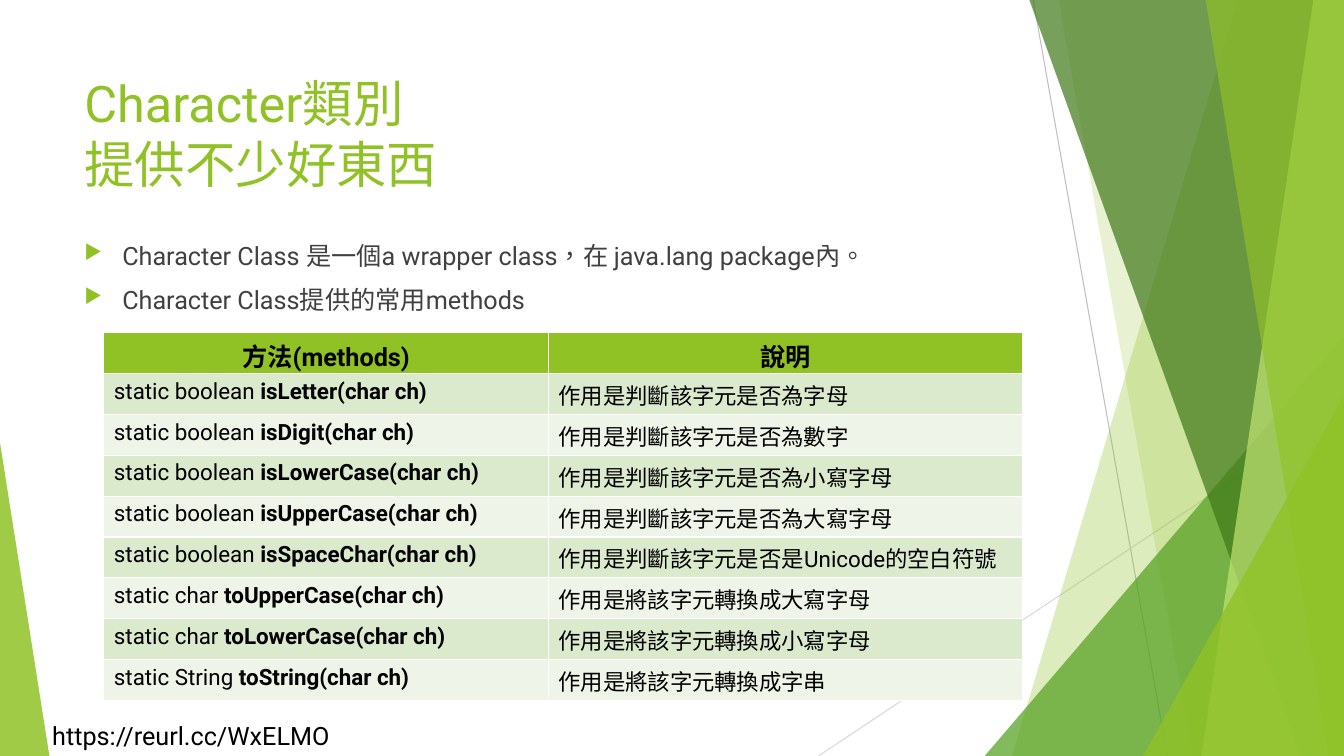
"""Build a slide on the methods offered by the Java Character class."""
from dataclasses import dataclass
from lxml.etree import SubElement
from pptx import Presentation
from pptx.dml.color import RGBColor as RGB
from pptx.enum.lang import MSO_LANGUAGE_ID as LANG
from pptx.enum.shapes import MSO_CONNECTOR as LINE, MSO_SHAPE as SHAPE
from pptx.enum.text import MSO_ANCHOR as ANCHOR, PP_ALIGN as ALIGN
from pptx.oxml.ns import qn
from pptx.util import Pt


@dataclass(frozen=True)
class Theme:
    font: str = "Roboto"
    lime: str = "90C226"
    leaf: str = "54A021"
    forest: str = "3F7819"
    pale: str = "C0E474"
    rule: str = "BFBFBF"
    light_rule: str = "D9D9D9"
    body: str = "404040"
    ink: str = "000000"
    stripes: tuple = ("DBE9CD", "EEF4E8")
    title_size: int = 36
    text_size: int = 18
    cell_size: int = 16


theme = Theme()


def style(paragraph, size, color):
    for run in paragraph.runs:
        run.font.name = theme.font
        run.font.size = Pt(size)
        run.font.color.rgb = RGB.from_string(color)
        run.font.language_id = LANG.TRADITIONAL_CHINESE


def add_text(left, top, width, height, wrap=True):
    frame = slide.shapes.add_textbox(Pt(left), Pt(top), Pt(width), Pt(height)).text_frame
    frame.word_wrap = wrap
    frame.vertical_anchor = ANCHOR.TOP
    return frame


WIDTH, HEIGHT, BLEED = 960, 540, -0.6
deck = Presentation()
deck.slide_width, deck.slide_height = Pt(WIDTH), Pt(HEIGHT)
slide = deck.slides.add_slide(deck.slide_layouts[6])

for x1, y1, x2, y2, color in [
    (738, 0, 833.8, HEIGHT, theme.rule),
    (WIDTH, 290.2, 584.6, HEIGHT, theme.light_rule),
]:
    ray = slide.shapes.add_connector(LINE.STRAIGHT, Pt(x1), Pt(y1), Pt(x2), Pt(y2))
    ray.line.color.rgb = RGB.from_string(color)
    ray.line.width = Pt(0.75)
    SubElement(ray._element.spPr, qn("a:effectLst"))

# Bands give top and bottom x; wedges give left, top, width and apex.
facets = [
    ((884.2, 722.9), theme.lime, 30),
    ((756, 851.8), theme.lime, 20),
    ((703.4, 239.8, 256.6, 1), theme.leaf, 72),
    ((735.1, 929.5), theme.forest, 70),
    ((938.2, 858.2), theme.pale, 70),
    ((861.1, 949), theme.lime, 65),
    ((816.5, 283, 143.5, 1), theme.lime, 80),
    ((0, 316.1, 35.3, 0), theme.lime, 85),
]
for outline, color, opacity in facets:
    if len(outline) == 2:
        top_x, bottom_x = outline
        band = slide.shapes.build_freeform(Pt(top_x), Pt(BLEED))
        corners = [(WIDTH, BLEED), (WIDTH, HEIGHT), (bottom_x, HEIGHT)]
        band.add_line_segments([(Pt(x), Pt(y)) for x, y in corners], close=True)
        facet = band.convert_to_shape()
    else:
        left, top, width, apex = outline
        facet = slide.shapes.add_shape(
            SHAPE.ISOSCELES_TRIANGLE, Pt(left), Pt(top), Pt(width), Pt(HEIGHT - top))
        facet.adjustments[0] = apex
    facet.shadow.inherit = False
    facet.line.fill.background()
    facet.fill.solid()
    facet.fill.fore_color.rgb = RGB.from_string(color)
    tint = facet._element.spPr.find(qn("a:solidFill"))[0]
    SubElement(tint, qn("a:alpha"), val=str(opacity * 1000))

source_link = add_text(30.2, 511.2, 224.6, 28.8, wrap=False)
source_link.text = "https://reurl.cc/WxELMO"
style(source_link.paragraphs[0], theme.text_size, theme.ink)

title = add_text(53.3, 48.2, 676.8, 103.7)
title.text = "Character類別\v提供不少好東西"
style(title.paragraphs[0], theme.title_size, theme.lime)

points = add_text(53.3, 167.8, 676.8, 305.3)
points.text = (
    "Character Class 是一個a wrapper class，在 java.lang package內。\n"
    "Character Class提供的常用methods"
)
for number, point in enumerate(points.paragraphs):
    if number:
        point.space_before = Pt(10)
    layout = point._p.get_or_add_pPr()
    layout.set("marL", str(Pt(27)))
    layout.set("indent", str(Pt(-27)))
    SubElement(SubElement(layout, qn("a:buClr")), qn("a:srgbClr"), val=theme.lime)
    SubElement(layout, qn("a:buSzPct"), val="80000")
    SubElement(layout, qn("a:buChar"), char="▶")
    style(point, theme.text_size, theme.body)

headings = ["方法(methods)", "說明"]
methods = [
    ("static boolean ", "isLetter(char ch)", "作用是判斷該字元是否為字母"),
    ("static boolean ", "isDigit(char ch)", "作用是判斷該字元是否為數字"),
    ("static boolean ", "isLowerCase(char ch)", "作用是判斷該字元是否為小寫字母"),
    ("static boolean ", "isUpperCase(char ch)", "作用是判斷該字元是否為大寫字母"),
    ("static boolean ", "isSpaceChar(char ch)", "作用是判斷該字元是否是Unicode的空白符號"),
    ("static char ", "toUpperCase(char ch)", "作用是將該字元轉換成大寫字母"),
    ("static char ", "toLowerCase(char ch)", "作用是將該字元轉換成小寫字母"),
    ("static String ", "toString(char ch)", "作用是將該字元轉換成字串"),
]
row_count = len(methods) + 1
row_height = 29.2
table = slide.shapes.add_table(
    row_count, 2, Pt(74.2), Pt(237.6), Pt(655.9), Pt(row_height * row_count)).table
table.columns[0].width, table.columns[1].width = Pt(317.5), Pt(338.4)

for column, heading in enumerate(headings):
    cell = table.cell(0, column)
    cell.text_frame.text = heading
    label = cell.text_frame.paragraphs[0]
    label.alignment = ALIGN.CENTER
    style(label, theme.text_size, theme.ink)
    label.runs[0].font.bold = True
    cell.fill.solid()
    cell.fill.fore_color.rgb = RGB.from_string(theme.lime)

for row, (returns, signature, purpose) in enumerate(methods, start=1):
    for column, pieces in enumerate([(returns, signature), (purpose,)]):
        cell = table.cell(row, column)
        entry = cell.text_frame.paragraphs[0]
        for piece in pieces:
            run = entry.add_run()
            run.text = piece
            run.font.bold = piece == signature
        style(entry, theme.cell_size, theme.ink)
        cell.fill.solid()
        cell.fill.fore_color.rgb = RGB.from_string(theme.stripes[(row - 1) % 2])

deck.save("out.pptx")
